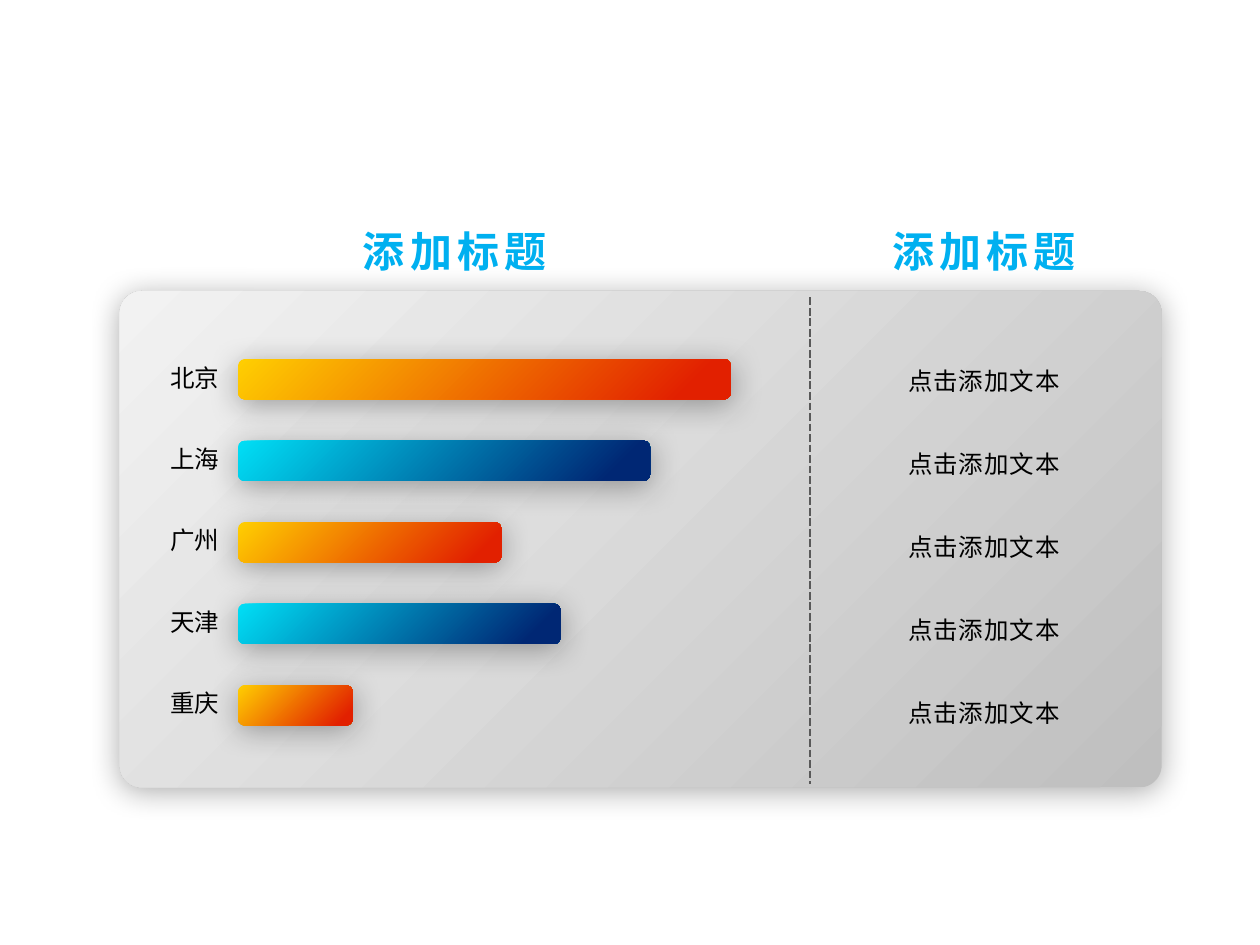
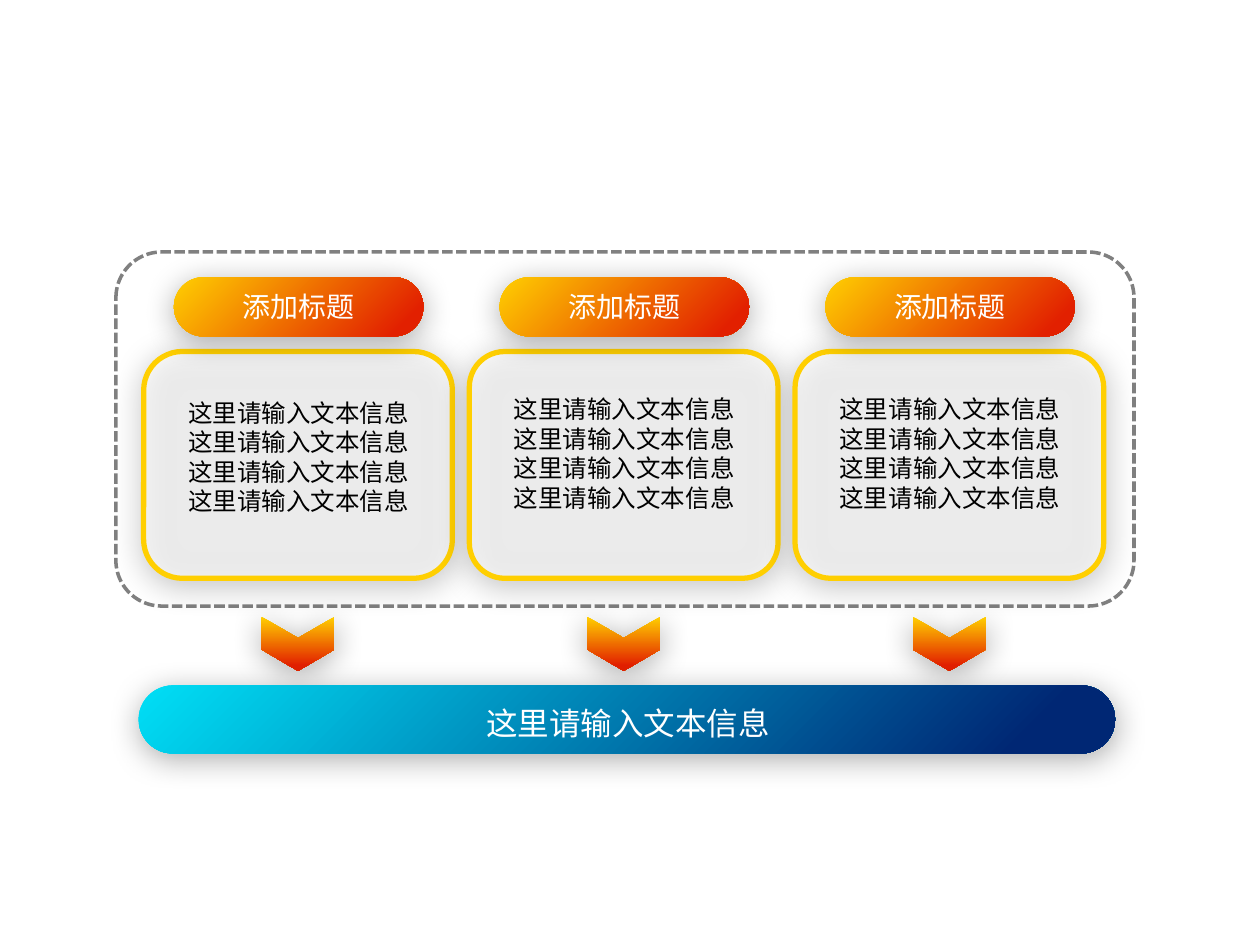
"""Build a two-slide deck: a city bar panel and a three-column summary."""
from dataclasses import dataclass
from typing import Optional

from lxml import etree
from pptx import Presentation
from pptx import util as u
from pptx.dml.color import RGBColor
from pptx.enum import dml, shapes, text
from pptx.oxml import ns


@dataclass(frozen=True)
class Gradient:
    start: str
    end: str
    angle: float
    start_at: float = 0
    end_at: float = 0.9


@dataclass(frozen=True)
class Theme:
    black: str = "000000"
    white: str = "FFFFFF"
    divider: str = "595959"
    frame: str = "808080"
    gold: str = "FFCF01"
    title_edge: str = "FFF5F5"
    warm: Gradient = Gradient("FFCF01", "E22000", 45)
    warm_down: Gradient = Gradient("FFCF01", "E22000", 0)
    cool: Gradient = Gradient("00DFF6", "002774", 45)
    silver: Gradient = Gradient("BFBFBF", "F2F2F2", 225, 0, 1)
    title: Gradient = Gradient("00B0F0", "002774", 90, 0.1, 0.75)
    title_size: int = 24
    banner_size: int = 18
    heading_size: int = 16
    body_size: int = 14
    cjk_font: str = "Noto Sans CJK SC"
    label_font: str = "Calibri"
    line_height: float = 1.2


@dataclass(frozen=True)
class Area:
    left: float
    top: float
    width: float
    height: float

    def lengths(self) -> tuple:
        return tuple(u.Inches(v) for v in (self.left, self.top, self.width, self.height))


@dataclass(frozen=True)
class TextStyle:
    size: int
    color: str = "000000"
    font: str = "Noto Sans CJK SC"
    align: text.PP_ALIGN = text.PP_ALIGN.CENTER
    spacing: float = 0


@dataclass(frozen=True)
class CityBar:
    city: str
    length: float


@dataclass(frozen=True)
class Column:
    rounding: float
    text_top: float


THEME = Theme()
TITLE = TextStyle(THEME.title_size, spacing=3)
LABEL = TextStyle(THEME.body_size, font=THEME.label_font, align=text.PP_ALIGN.RIGHT)
NOTE = TextStyle(THEME.body_size, spacing=0.5)
BODY = TextStyle(THEME.body_size)
HEADING = TextStyle(THEME.heading_size, THEME.white)
BANNER = TextStyle(THEME.banner_size, THEME.white)

CITY_BARS = (CityBar("北京", 3.91), CityBar("上海", 3.27), CityBar("广州", 2.09),
             CityBar("天津", 2.56), CityBar("重庆", 0.91))
COLUMNS = (Column(0.171, 3.11), Column(0.156, 3.08), Column(0.159, 3.08))
COLUMN_LEFT, COLUMN_PITCH = 1.14, 2.585
HEADING_TEXT = "添加标题"
PROMPT = "这里请输入文本信息"


def add_child(parent, tag: str, **attributes):
    """Append a DrawingML element with the given attributes."""
    return etree.SubElement(parent, ns.qn(tag), {k: str(v) for k, v in attributes.items()})


def add_shadow(effects, blur: float, distance: float, direction: int, opacity: int) -> None:
    """Put a black outer shadow into an effect list."""
    shadow = add_child(effects, "a:outerShdw", blurRad=u.Pt(blur), dist=u.Pt(distance),
                       dir=direction * 60000, algn="ctr", rotWithShape=0)
    color = add_child(shadow, "a:srgbClr", val=THEME.black)
    add_child(color, "a:alpha", val=opacity * 1000)


def apply_gradient(fill, gradient: Gradient) -> None:
    """Give a fill the two stops and clockwise angle of a gradient."""
    fill.gradient()
    fill.gradient_angle = (360 - gradient.angle) % 360
    stops = ((gradient.start, gradient.start_at), (gradient.end, gradient.end_at))
    for stop, (color, position) in zip(fill.gradient_stops, stops):
        stop.color.rgb = RGBColor.from_string(color)
        stop.position = position


def style_line(line, color: str, width: float, dashed: bool = False) -> None:
    """Set the colour, width and dash of a line."""
    line.color.rgb = RGBColor.from_string(color)
    line.width = u.Pt(width)
    if dashed:
        line.dash_style = dml.MSO_LINE.SQUARE_DOT


def add_block(page, area: Area, gradient: Optional[Gradient] = None,
              rounding: Optional[float] = None, shadow: bool = True,
              kind: shapes.MSO_SHAPE = shapes.MSO_SHAPE.ROUNDED_RECTANGLE):
    """Draw a borderless preset shape with an optional gradient and shadow."""
    block = page.shapes.add_shape(kind, *area.lengths())
    block.shadow.inherit = False
    block.line.fill.background()
    if gradient:
        apply_gradient(block.fill, gradient)
    else:
        block.fill.background()
    if rounding is not None:
        block.adjustments[0] = rounding
    if shadow:
        effects = block.element.spPr.find(ns.qn("a:effectLst"))
        add_shadow(effects, 17.8, 3, 87, 33)
    return block


def add_text(page, area: Area, words: str, style: TextStyle):
    """Add a wrapped text box, one paragraph to a line."""
    box = page.shapes.add_textbox(*area.lengths())
    frame = box.text_frame
    frame.word_wrap = True
    frame.auto_size = text.MSO_AUTO_SIZE.SHAPE_TO_FIT_TEXT
    frame.text = words
    for para in frame.paragraphs:
        para.alignment = style.align
        para.line_spacing = u.Pt(style.size * THEME.line_height)
        for span in para.runs:
            span.font.size = u.Pt(style.size)
            span.font.name = style.font
            span.font.color.rgb = RGBColor.from_string(style.color)
            properties = span.font._element
            add_child(properties, "a:ea", typeface=THEME.cjk_font)
            if style.spacing:
                properties.set("spc", str(int(style.spacing * 100)))
    return box


def add_column_title(page, left: float) -> None:
    """Add a bold gradient title with a fine edge and a text shadow."""
    box = add_text(page, Area(left, 1.74, 2.38, 0.5), HEADING_TEXT, TITLE)
    font = box.text_frame.paragraphs[0].runs[0].font
    font.bold = True
    apply_gradient(font.fill, THEME.title)
    properties = font._element
    edge = add_child(properties, "a:ln", w=u.Pt(1))
    add_child(add_child(edge, "a:solidFill"), "a:srgbClr", val=THEME.title_edge)
    properties.insert(0, edge)
    effects = add_child(properties, "a:effectLst")
    properties.find(ns.qn("a:gradFill")).addnext(effects)
    add_shadow(effects, 2, 2, 45, 40)


def build_city_page(page) -> None:
    """Draw the panel of city bars and the notes beside it."""
    add_block(page, Area(0.95, 2.31, 8.27, 3.94), THEME.silver, 0.045)
    for left in (2.42, 6.62):
        add_column_title(page, left)
    for row, bar in enumerate(CITY_BARS):
        gradient = THEME.cool if row % 2 else THEME.warm
        add_block(page, Area(1.89, 2.85 + row * 0.647, bar.length, 0.32), gradient)
        add_text(page, Area(1.15, 2.83 + row * 0.645, 0.69, 0.34), bar.city, LABEL)
        add_text(page, Area(6.98, 2.86 + row * 0.657, 1.66, 0.34), "点击添加文本", NOTE)
    divider = page.shapes.add_connector(
        shapes.MSO_CONNECTOR.STRAIGHT,
        u.Inches(6.43), u.Inches(2.36), u.Inches(6.43), u.Inches(6.22))
    style_line(divider.line, THEME.divider, 1.5, dashed=True)
    add_child(divider.element.spPr, "a:effectLst")


def add_column(page, left: float, column: Column) -> None:
    """Draw one heading pill, its card and the arrow below."""
    card = add_block(page, Area(left, 2.79, 2.45, 1.8), rounding=column.rounding)
    card.fill.solid()
    card.fill.fore_color.rgb = RGBColor.from_string(THEME.white)
    color = card.element.spPr.find(ns.qn("a:solidFill"))[0]
    add_child(color, "a:alpha", val=60000)
    style_line(card.line, THEME.gold, 3)
    add_text(page, Area(left + 0.13, column.text_top, 2.2, 0.95), "\n".join([PROMPT] * 4), BODY)
    add_block(page, Area(left + 0.24, 2.2, 1.98, 0.47), THEME.warm, 0.5)
    add_text(page, Area(left + 0.35, 2.25, 1.76, 0.34), HEADING_TEXT, HEADING)
    arrow = add_block(page, Area(left + 1.01, 4.82, 0.43, 0.58), THEME.warm_down, 0.394,
                      kind=shapes.MSO_SHAPE.CHEVRON)
    arrow.rotation = 90


def build_summary_page(page) -> None:
    """Draw three framed columns leading to a banner."""
    frame = add_block(page, Area(0.92, 2, 8.08, 2.81), rounding=0.129, shadow=False)
    style_line(frame.line, THEME.frame, 2, dashed=True)
    for index, column in enumerate(COLUMNS):
        add_column(page, COLUMN_LEFT + index * COLUMN_PITCH, column)
    add_block(page, Area(1.1, 5.44, 7.75, 0.54), THEME.cool, 0.5)
    add_text(page, Area(1.74, 5.54, 6.49, 0.37), PROMPT, BANNER)


def main() -> None:
    """Build and save the deck."""
    deck = Presentation()
    deck.slide_width, deck.slide_height = u.Inches(10), u.Inches(7.5)
    blank = deck.slide_layouts.get_by_name("Blank")
    for build in (build_city_page, build_summary_page):
        build(deck.slides.add_slide(blank))
    deck.save("out.pptx")


if __name__ == "__main__":
    main()
